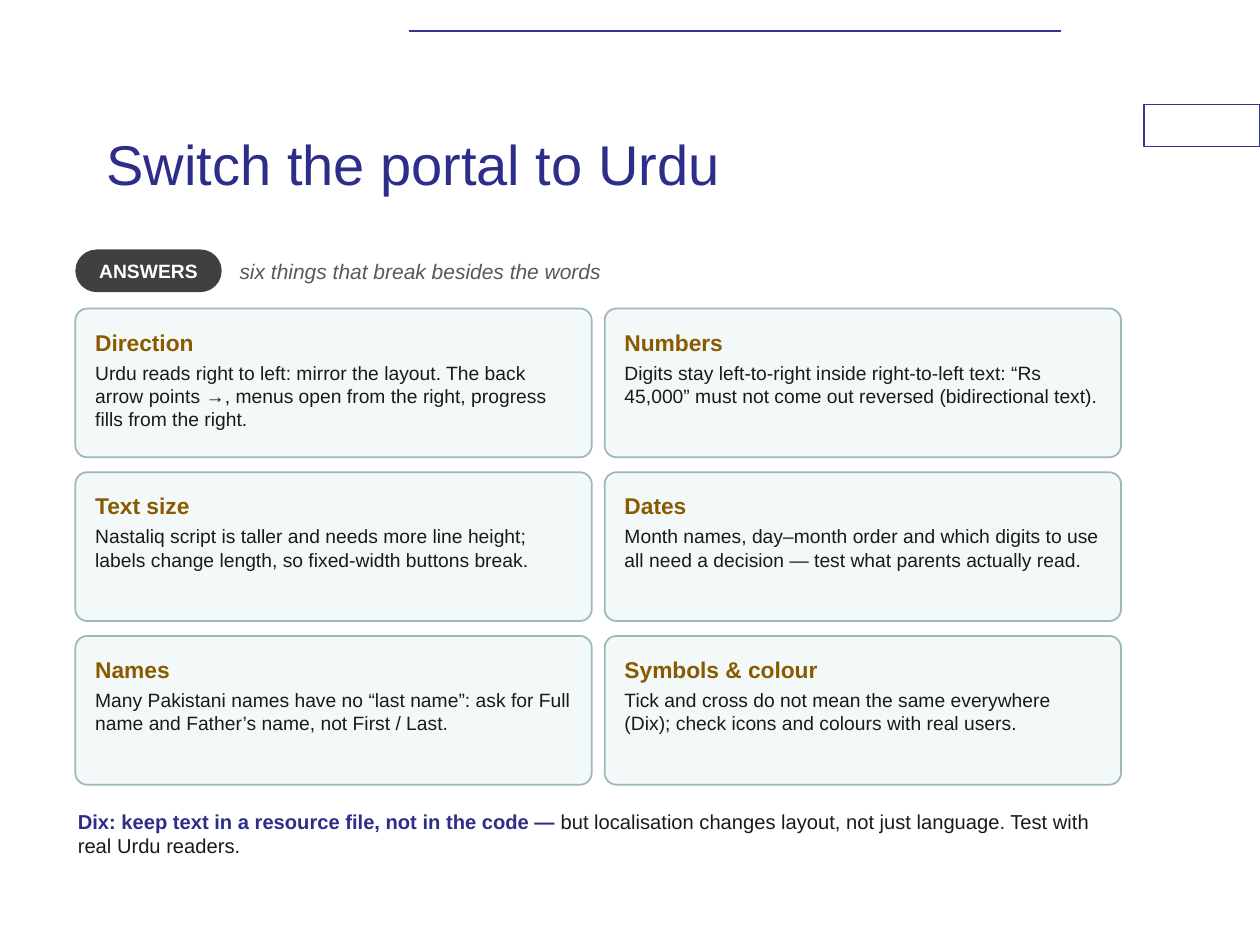
from lxml.etree import SubElement
from pptx import Presentation
from pptx.dml.color import RGBColor
from pptx.enum.shapes import MSO_CONNECTOR, MSO_SHAPE
from pptx.enum.text import MSO_ANCHOR, MSO_AUTO_SIZE, PP_ALIGN
from pptx.oxml.ns import qn
from pptx.util import Cm, Pt

NAVY, FRAME, INK, GREY = "2D2D8A", "333399", "1A1A1A", "595959"
DARK, WHITE, OCHRE = "404040", "FFFFFF", "8A5A00"
CARD_FILL, CARD_EDGE = "F3F8F9", "9DB8BC"

LEFT, CARDS_TOP = 1.52, 6.22
CARD_WIDTH, CARD_HEIGHT = 10.41, 3.0
COLUMN_STEP, ROW_STEP = 10.67, 3.3

ANSWERS = [
    ("Direction", "Urdu reads right to left: mirror the layout. The back arrow points →, "
                  "menus open from the right, progress fills from the right."),
    ("Numbers", "Digits stay left-to-right inside right-to-left text: “Rs 45,000” must not "
                "come out reversed (bidirectional text)."),
    ("Text size", "Nastaliq script is taller and needs more line height; labels change "
                  "length, so fixed-width buttons break."),
    ("Dates", "Month names, day–month order and which digits to use all need a decision "
              "— test what parents actually read."),
    ("Names", "Many Pakistani names have no “last name”: ask for Full name and Father’s "
              "name, not First / Last."),
    ("Symbols & colour", "Tick and cross do not mean the same everywhere (Dix); check icons "
                         "and colours with real users."),
]


def rgb(value):
    return RGBColor.from_string(value)


class SlideBuilder:
    font = "Arial"

    def __init__(self, slide):
        self.slide = slide

    def run(self, paragraph, text, size, color, bold=False, italic=False):
        run = paragraph.add_run()
        run.text = text
        run.font.name = self.font
        run.font.size = Pt(size)
        run.font.color.rgb = rgb(color)
        run.font.bold = bold
        run.font.italic = italic

    def frame(self, shape, inset, anchor=MSO_ANCHOR.TOP, align=PP_ALIGN.LEFT):
        """Set up the text frame of a shape and return it."""
        frame = shape.text_frame
        frame.word_wrap = True
        frame.auto_size = MSO_AUTO_SIZE.NONE
        frame.margin_left = frame.margin_right = Cm(inset)
        frame.margin_top = frame.margin_bottom = Cm(inset)
        frame.vertical_anchor = anchor
        frame.paragraphs[0].alignment = align
        return frame

    def title(self, text, left, top, width, height):
        title = self.slide.shapes.title
        title.left, title.top = Cm(left), Cm(top)
        title.width, title.height = Cm(width), Cm(height)
        frame = self.frame(title, 0.25, MSO_ANCHOR.MIDDLE)
        self.run(frame.paragraphs[0], text, 32, NAVY)

    def box(self, kind, left, top, width, height, fill, edge=None, edge_width=1, corner=None):
        box = self.slide.shapes.add_shape(kind, Cm(left), Cm(top), Cm(width), Cm(height))
        box.shadow.inherit = False
        box.fill.solid()
        box.fill.fore_color.rgb = rgb(fill)
        if edge:
            box.line.color.rgb = rgb(edge)
            box.line.width = Pt(edge_width)
        else:
            box.line.fill.background()
        if corner is not None:
            box.adjustments[0] = corner
        return box

    def rule(self, left, right, y):
        rule = self.slide.shapes.add_connector(
            MSO_CONNECTOR.STRAIGHT, Cm(left), Cm(y), Cm(right), Cm(y))
        rule.line.color.rgb = rgb(FRAME)
        rule.line.width = Pt(1)
        SubElement(rule._element.spPr, qn("a:effectLst"))

    def badge(self, text, left, top, width, height):
        badge = self.box(MSO_SHAPE.ROUNDED_RECTANGLE, left, top, width, height, DARK, corner=0.5)
        frame = self.frame(badge, 0.08, MSO_ANCHOR.MIDDLE, PP_ALIGN.CENTER)
        self.run(frame.paragraphs[0], text, 11, WHITE, bold=True)

    def card(self, heading, body, left, top):
        card = self.box(MSO_SHAPE.ROUNDED_RECTANGLE, left, top, CARD_WIDTH, CARD_HEIGHT,
                        CARD_FILL, CARD_EDGE, corner=0.08)
        frame = self.frame(card, 0.33)
        self.run(frame.paragraphs[0], heading, 13, OCHRE, bold=True)
        detail = frame.add_paragraph()
        detail.alignment = PP_ALIGN.LEFT
        detail.space_before = Pt(3)
        self.run(detail, body, 11, INK)

    def text(self, left, top, width, height, anchor=MSO_ANCHOR.TOP):
        """Add a text box and return its first paragraph."""
        box = self.slide.shapes.add_textbox(Cm(left), Cm(top), Cm(width), Cm(height))
        return self.frame(box, 0.05, anchor).paragraphs[0]


def main():
    deck = Presentation()
    deck.slide_width, deck.slide_height = Cm(25.4), Cm(19.05)
    builder = SlideBuilder(deck.slides.add_slide(deck.slide_layouts[5]))

    builder.box(MSO_SHAPE.RECTANGLE, 23.06, 2.11, 2.34, 0.85, WHITE, FRAME, 0.75)
    builder.rule(8.25, 21.38, 0.63)
    builder.title("Switch the portal to Urdu", 1.9, 1.7, 19.05, 3.18)

    builder.badge("ANSWERS", LEFT, 5.03, 2.95, 0.86)
    subtitle = builder.text(4.78, 5.03, 17.86, 0.86, MSO_ANCHOR.MIDDLE)
    builder.run(subtitle, "six things that break besides the words", 12, GREY, italic=True)

    for index, (heading, body) in enumerate(ANSWERS):
        row, column = divmod(index, 2)
        builder.card(heading, body, LEFT + column * COLUMN_STEP, CARDS_TOP + row * ROW_STEP)

    takeaway = builder.text(LEFT, 16.26, 21.08, 1.27)
    builder.run(takeaway, "Dix: keep text in a resource file, not in the code — ", 11.5, NAVY,
                bold=True)
    builder.run(takeaway, "but localisation changes layout, not just language. "
                          "Test with real Urdu readers.", 11.5, INK)

    deck.save("out.pptx")


if __name__ == "__main__":
    main()
